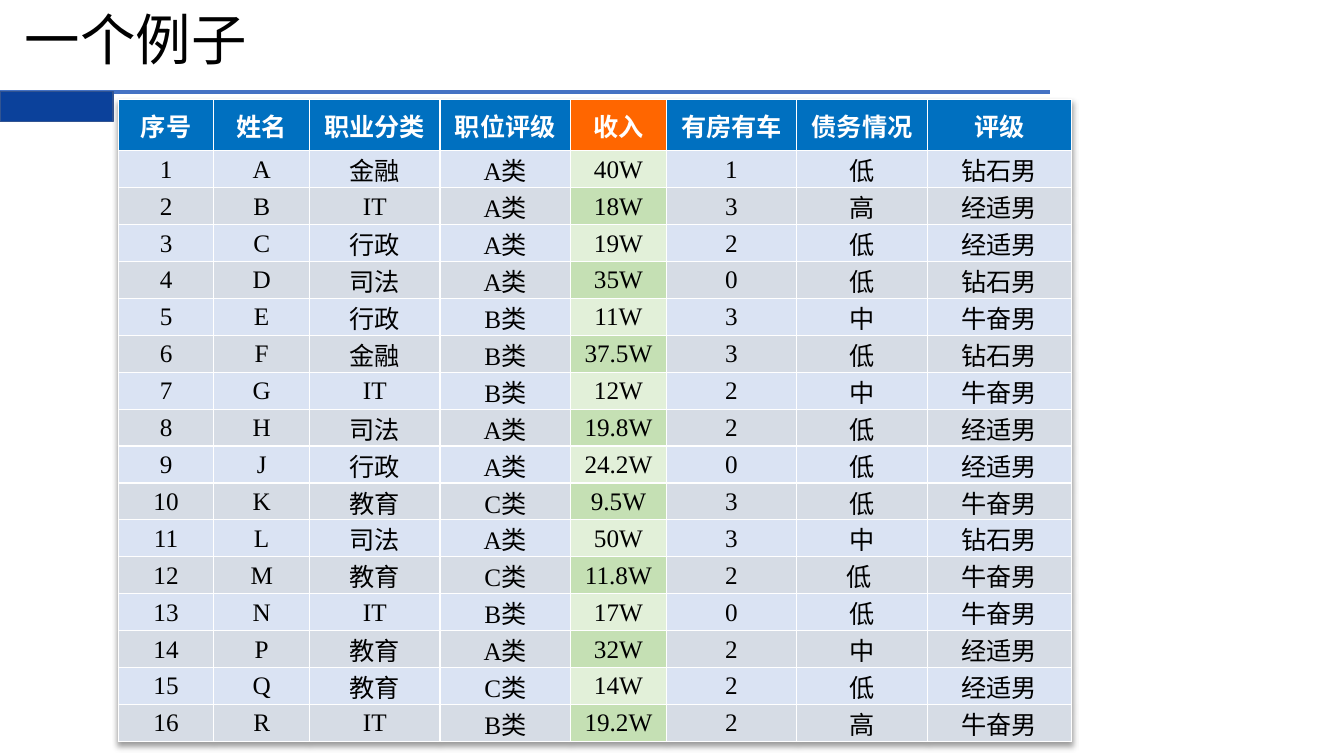
from lxml import etree
from pptx import Presentation
from pptx.dml.color import RGBColor
from pptx.enum.shapes import MSO_CONNECTOR, MSO_SHAPE
from pptx.enum.text import MSO_ANCHOR, PP_ALIGN
from pptx.oxml import parse_xml
from pptx.oxml.ns import qn
from pptx.util import Cm, Pt

LINE = MSO_CONNECTOR.STRAIGHT
RECT = MSO_SHAPE.RECTANGLE
MIDDLE = MSO_ANCHOR.MIDDLE
CENTER = PP_ALIGN.CENTER

SANS = "Noto Sans CJK SC"
SERIF = "Times New Roman"
NS = 'xmlns:a="http://schemas.openxmlformats.org/drawingml/2006/main"'
HUES = {
    "black": "000000", "white": "FFFFFF", "rule": "4472C4",
    "tab": "0B419B", "edge": "325491", "head": "0070C0", "key": "FF6600",
    "odd": "DAE3F3", "even": "D6DCE5", "odd_key": "E2F0D9", "even_key": "C5E0B4",
}
KEY_COL = 4
COLS = [2.41, 2.41, 3.29, 3.29, 2.41, 3.29, 3.29, 3.63]
HEAD_H, ROW_H = 1.3, 0.93
ROWS = [line.split(",") for line in (
    "序号,姓名,职业分类,职位评级,收入,有房有车,债务情况,评级",
    "1,A,金融,A类,40W,1,低,钻石男",
    "2,B,IT,A类,18W,3,高,经适男",
    "3,C,行政,A类,19W,2,低,经适男",
    "4,D,司法,A类,35W,0,低,钻石男",
    "5,E,行政,B类,11W,3,中,牛奋男",
    "6,F,金融,B类,37.5W,3,低,钻石男",
    "7,G,IT,B类,12W,2,中,牛奋男",
    "8,H,司法,A类,19.8W,2,低,经适男",
    "9,J,行政,A类,24.2W,0,低,经适男",
    "10,K,教育,C类,9.5W,3,低,牛奋男",
    "11,L,司法,A类,50W,3,中,钻石男",
    "12,M,教育,C类,11.8W,2,低 ,牛奋男",
    "13,N,IT,B类,17W,0,低,牛奋男",
    "14,P,教育,A类,32W,2,中,经适男",
    "15,Q,教育,C类,14W,2,低,经适男",
    "16,R,IT,B类,19.2W,2,高,牛奋男",
)]


def rgb(name):
    """Return the colour stored under a name."""
    return RGBColor.from_string(HUES[name])


def style(para, face, size, hue, bold=False):
    """Format every run of a paragraph."""
    for run in para.runs:
        font = run.font
        font.name, font.size, font.bold = face, Pt(size), bold
        font.color.rgb = rgb(hue)
        etree.SubElement(font._element, qn("a:ea"), typeface=SANS)


def add_title(slide, left, top, width, height):
    """Write the slide title in the given box."""
    box = slide.shapes.add_textbox(Cm(left), Cm(top), Cm(width), Cm(height))
    frame = box.text_frame
    frame.word_wrap = True
    frame.vertical_anchor = MIDDLE
    frame.text = "一个例子"
    para = frame.paragraphs[0]
    para.line_spacing = 0.9
    style(para, SANS, 39.6, "black")


def add_band(slide, left, top, width, height):
    """Draw the rule under the title and the tab hanging from it."""
    rule = slide.shapes.add_connector(
        LINE, Cm(left), Cm(top), Cm(left + width), Cm(top))
    rule.line.color.rgb = rgb("rule")
    rule.line.width = Pt(3)
    etree.SubElement(rule._element.spPr, qn("a:effectLst"))
    tab = slide.shapes.add_shape(RECT, Cm(left), Cm(top), Cm(2.85), Cm(height))
    tab.shadow.inherit = False
    tab.fill.solid()
    tab.fill.fore_color.rgb = rgb("tab")
    tab.line.color.rgb = rgb("edge")
    tab.line.width = Pt(1)


def shade(row, col):
    """Choose the fill of a cell from its place in the grid."""
    if row == 0:
        return "key" if col == KEY_COL else "head"
    band = "odd" if row % 2 else "even"
    return band + "_key" if col == KEY_COL else band


def fill_cell(cell, text, row, col):
    """Write and format one table cell."""
    cell.text = text
    cell.vertical_anchor = MIDDLE
    cell.margin_left = cell.margin_right = cell.margin_top = Cm(0.02)
    cell.margin_bottom = 0
    para = cell.text_frame.paragraphs[0]
    para.alignment = CENTER
    style(para, SERIF, 18, "black" if row else "white", row == 0)
    props = cell._tc.get_or_add_tcPr()
    for side in "LRTB":
        props.append(parse_xml(
            f'<a:ln{side} {NS} w="12700"><a:solidFill>'
            f'<a:srgbClr val="{HUES["white"]}"/></a:solidFill></a:ln{side}>'))
    cell.fill.solid()
    cell.fill.fore_color.rgb = rgb(shade(row, col))


def add_grid(slide, left, top, width, height):
    """Build the table of ratings in the given box."""
    table = slide.shapes.add_table(
        len(ROWS), len(COLS), Cm(left), Cm(top), Cm(width), Cm(height)).table
    table._tbl.tblPr.insert(0, parse_xml(
        f'<a:effectLst {NS}><a:outerShdw blurRad="50800" dist="38100" '
        f'dir="5400000"><a:srgbClr val="{HUES["black"]}">'
        '<a:alpha val="40000"/></a:srgbClr></a:outerShdw></a:effectLst>'))
    for col, size in enumerate(COLS):
        table.columns[col].width = Cm(size)
    for row, texts in enumerate(ROWS):
        table.rows[row].height = Cm(ROW_H if row else HEAD_H)
        for col, text in enumerate(texts):
            fill_cell(table.cell(row, col), text, row, col)


def main():
    """Build the slide and save it."""
    deck = Presentation()
    deck.slide_width, deck.slide_height = Cm(33.87), Cm(19.05)
    slide = deck.slides.add_slide(deck.slide_layouts[6])
    add_band(slide, 0, 2.31, 26.46, 0.76)
    add_title(slide, 0.38, 0.3, 29.21, 1.57)
    add_grid(slide, 2.98, 2.5, sum(COLS), HEAD_H + ROW_H * (len(ROWS) - 1))
    deck.save("out.pptx")


if __name__ == "__main__":
    main()
